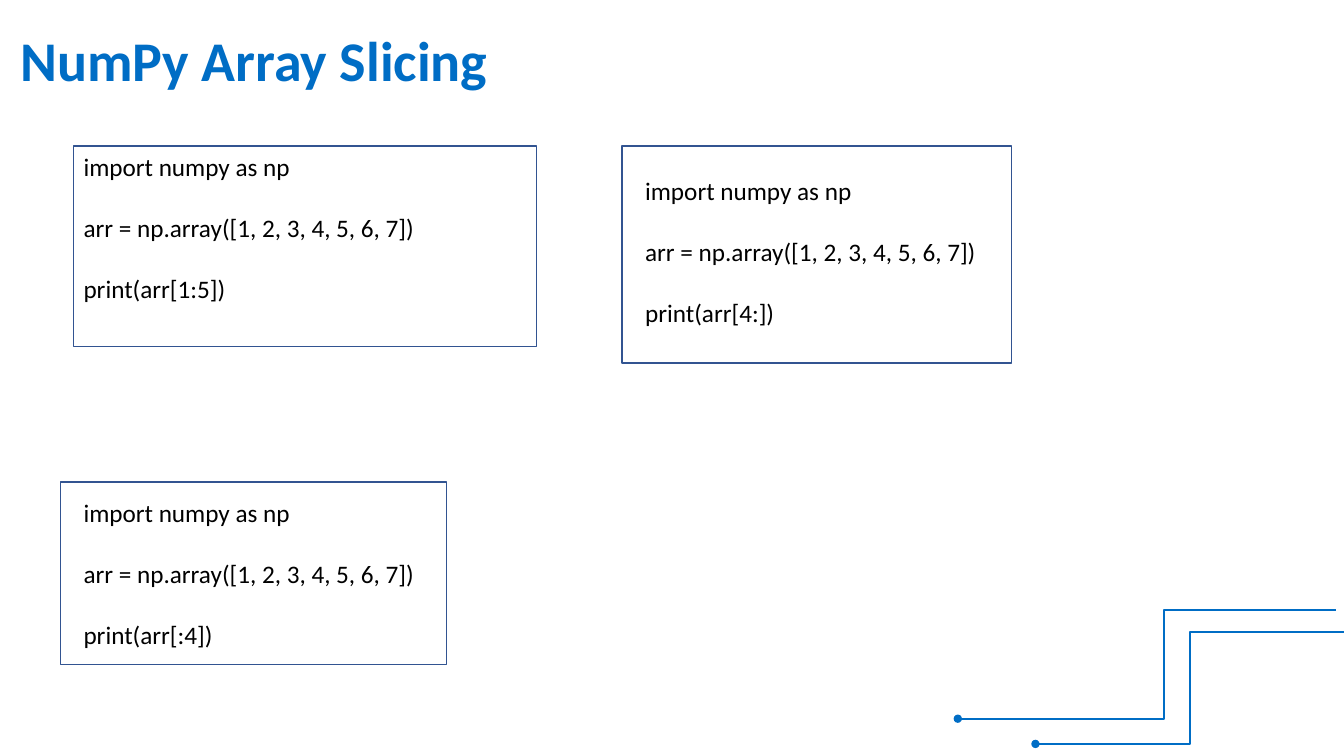
from lxml import etree
from pptx import Presentation
from pptx.dml.color import RGBColor
from pptx.enum.shapes import MSO_CONNECTOR, MSO_SHAPE
from pptx.enum.text import MSO_ANCHOR, MSO_AUTO_SIZE, PP_ALIGN
from pptx.oxml.ns import qn
from pptx.util import Inches, Pt

ELBOW = MSO_CONNECTOR.ELBOW
RECTANGLE = MSO_SHAPE.RECTANGLE
TOP, MIDDLE = MSO_ANCHOR.TOP, MSO_ANCHOR.MIDDLE
NO_FIT = MSO_AUTO_SIZE.NONE
LEFT = PP_ALIGN.LEFT

COLORS = {"accent": "006DC5", "frame": "325491", "code": "000000"}
FORMATS = {
    "title": {"name": "Calibri", "size": Pt(40), "bold": True},
    "code": {"name": "Calibri", "size": Pt(18), "bold": False},
}
CODE_GAP = Pt(22)
TITLE = "NumPy Array Slicing"
SLICE_EXAMPLES = [
    ("1:5", (0.73, 1.45, 4.59, 1.62), (0.73, 1.45, 4.59, 1.99)),
    ("4:", (6.3, 1.69, 3.52, 1.92), (6.17, 1.45, 3.86, 2.15)),
    (":4", (0.73, 4.88, 3.52, 1.62), (0.6, 4.78, 3.83, 1.81)),
]
CIRCUIT_LINES = [
    ((13.25, 6.05), (9.5, 7.13), 0.455),
    ((13.33, 6.27), (10.27, 7.38), 0.5),
]


class SlideBuilder:
    """Draws styled elements on the current slide."""

    def __init__(self, presentation):
        self.slide = presentation.slides.add_slide(presentation.slide_layouts[5])

    def color(self, name):
        return RGBColor.from_string(COLORS[name])

    def format_paragraph(self, paragraph, style, color):
        paragraph.alignment = LEFT
        for attribute, value in FORMATS[style].items():
            setattr(paragraph.font, attribute, value)
        paragraph.font.color.rgb = self.color(color)

    def format_frame(self, text_frame, anchor):
        settings = {"word_wrap": True, "auto_size": NO_FIT, "vertical_anchor": anchor}
        for attribute, value in settings.items():
            setattr(text_frame, attribute, value)

    def title(self, text, box):
        shape = self.slide.shapes.title
        shape.left, shape.top, shape.width, shape.height = map(Inches, box)
        self.format_frame(shape.text_frame, MIDDLE)
        shape.text_frame.text = text
        self.format_paragraph(shape.text_frame.paragraphs[0], "title", "accent")

    def code(self, lines, box):
        text_frame = self.slide.shapes.add_textbox(*map(Inches, box)).text_frame
        self.format_frame(text_frame, TOP)
        text_frame.text = "\n".join(lines)
        for index, paragraph in enumerate(text_frame.paragraphs):
            self.format_paragraph(paragraph, "code", "code")
            if index:
                paragraph.space_before = CODE_GAP

    def frame(self, box):
        shape = self.slide.shapes.add_shape(RECTANGLE, *map(Inches, box))
        shape.shadow.inherit = False
        shape.fill.background()
        shape.line.color.rgb = self.color("frame")
        shape.line.width = Pt(1)

    def circuit_line(self, start, end, bend):
        connector = self.slide.shapes.add_connector(ELBOW, *map(Inches, start + end))
        connector.line.color.rgb = self.color("accent")
        connector.line.width = Pt(1.5)
        properties = connector._element.spPr
        adjustments = properties.find(qn("a:prstGeom")).get_or_add_avLst()
        etree.SubElement(adjustments, qn("a:gd"), name="adj1", fmla=f"val {round(bend * 100000)}")
        etree.SubElement(properties.find(qn("a:ln")), qn("a:tailEnd"), type="oval")
        etree.SubElement(properties, qn("a:effectLst"))


def main():
    presentation = Presentation()
    presentation.slide_width = Inches(13.33)
    presentation.slide_height = Inches(7.5)
    builder = SlideBuilder(presentation)
    builder.title(TITLE, (0.1, 0.2, 10.92, 0.77))
    for start, end, bend in CIRCUIT_LINES:
        builder.circuit_line(start, end, bend)
    for indices, code_box, frame_box in SLICE_EXAMPLES:
        lines = ["import numpy as np", "arr = np.array([1, 2, 3, 4, 5, 6, 7])", f"print(arr[{indices}])"]
        builder.code(lines, code_box)
        builder.frame(frame_box)
    presentation.save("out.pptx")


if __name__ == "__main__":
    main()
